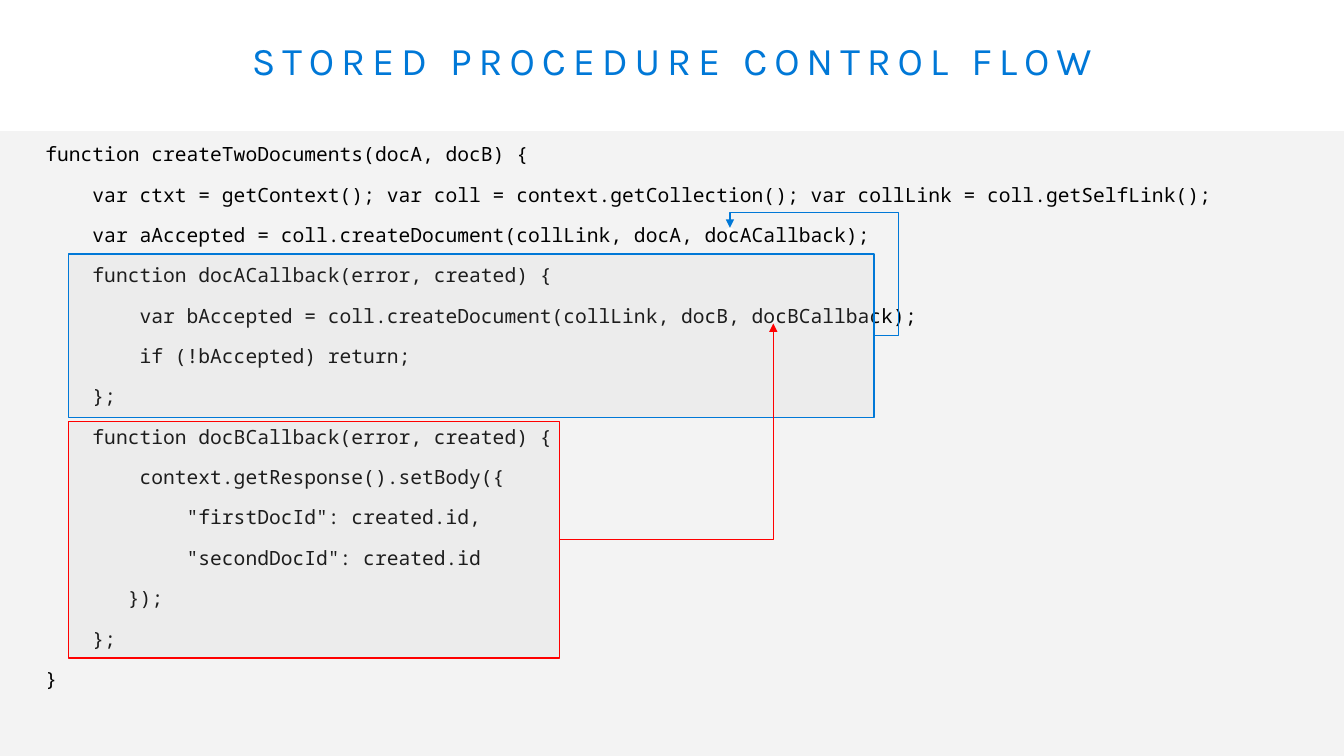
from lxml.etree import SubElement
from pptx import Presentation
from pptx.dml.color import RGBColor
from pptx.enum.shapes import MSO_CONNECTOR as Connector, MSO_SHAPE as Preset
from pptx.enum.text import MSO_ANCHOR as Anchor, MSO_AUTO_SIZE as AutoSize, PP_ALIGN as Align
from pptx.oxml.ns import qn
from pptx.util import Inches, Pt

COLORS = {"paper": "FFFFFF", "band": "F2F2F2", "shade": "C7C7C7",
          "blue": "0078D7", "red": "FF0000", "code": "000000"}

CODE = """\
function createTwoDocuments(docA, docB) {
    var ctxt = getContext(); var coll = context.getCollection(); var collLink = coll.getSelfLink();
    var aAccepted = coll.createDocument(collLink, docA, docACallback);
    function docACallback(error, created) {
        var bAccepted = coll.createDocument(collLink, docB, docBCallback);
        if (!bAccepted) return;
    };
    function docBCallback(error, created) {
        context.getResponse().setBody({
            "firstDocId": created.id,
            "secondDocId": created.id
       });
    };
}"""


def color(name):
    return RGBColor.from_string(COLORS[name])


def write(frame, text, font, size, ink, align=Align.LEFT, leading=1.0, gap=0, tracking=0):
    """Fill a text frame, one paragraph per line; gap is the space on each side in points."""
    frame.auto_size = AutoSize.NONE
    frame.word_wrap = True
    frame.vertical_anchor = Anchor.TOP
    frame.margin_left = frame.margin_right = Inches(0.16)
    frame.margin_top = frame.margin_bottom = Inches(0.1)
    for index, line in enumerate(text.split("\n")):
        paragraph = frame.add_paragraph() if index else frame.paragraphs[0]
        paragraph.alignment = align
        paragraph.line_spacing = leading
        paragraph.space_before = Pt(gap if index else 0)
        paragraph.space_after = Pt(gap)
        run = paragraph.add_run()
        run.text = line
        run.font.name = font
        run.font.size = Pt(size)
        run.font.color.rgb = color(ink)
        if tracking:
            run.font._element.set("spc", str(tracking * 100))


class FlowSlide:
    """Places elements by (left, top, width, height) in percent of the slide."""

    def __init__(self, deck):
        self.width, self.height = deck.slide_width, deck.slide_height
        self.slide = deck.slides.add_slide(deck.slide_layouts[5])
        self.shapes = self.slide.shapes
        self.slide.background.fill.solid()
        self.slide.background.fill.fore_color.rgb = color("paper")

    def area(self, left, top, width, height):
        return (round(self.width * left / 100), round(self.height * top / 100),
                round(self.width * width / 100), round(self.height * height / 100))

    def title(self, text, *area):
        heading = self.shapes.title
        heading.left, heading.top, heading.width, heading.height = self.area(*area)
        write(heading.text_frame, text, "Karla", 28, "blue",
              align=Align.CENTER, leading=0.9, tracking=5)

    def code(self, text, *area):
        listing = self.shapes.add_textbox(*self.area(*area))
        write(listing.text_frame, text, "Noto Sans Mono", 14, "code", gap=6)

    def block(self, *area, fill, preset=Preset.RECTANGLE, opacity=100, line=None):
        block = self.shapes.add_shape(preset, *self.area(*area))
        block.shadow.inherit = False
        block.fill.solid()
        block.fill.fore_color.rgb = color(fill)
        if opacity < 100:
            tint = block.fill._xPr.find(qn("a:solidFill"))[0]
            SubElement(tint, qn("a:alpha"), val=str(opacity * 1000))
        if line:
            block.line.color.rgb = color(line)
            block.line.width = Pt(1)
        else:
            block.line.fill.background()
        return block

    def target(self, left, top):
        return self.block(left, top, 0.75, 1.33, fill="paper", preset=Preset.OVAL)

    def elbow(self, source, target, at_bottom, line, preset, **bends):
        """Lead from the source's right side to the target's top or bottom."""
        arrow = self.shapes.add_connector(
            Connector.ELBOW,
            source.left + source.width, source.top + source.height // 2,
            target.left + target.width // 2, target.top + at_bottom * target.height)
        arrow.line.color.rgb = color(line)
        arrow.line.width = Pt(1)
        properties = arrow._element.spPr
        geometry = properties.find(qn("a:prstGeom"))
        geometry.set("prst", preset)
        guides = geometry.find(qn("a:avLst"))
        for name, share in bends.items():
            SubElement(guides, qn("a:gd"), name=name, fmla=f"val {round(share * 100000)}")
        SubElement(properties.find(qn("a:ln")), qn("a:tailEnd"), type="triangle")
        SubElement(properties, qn("a:effectLst"))


def main():
    deck = Presentation()
    deck.slide_width, deck.slide_height = Inches(13.33), Inches(7.5)
    flow = FlowSlide(deck)

    flow.title("STORED PROCEDURE CONTROL FLOW", 2.18, 4.2, 95.65, 13.07)
    flow.block(0, 17.33, 100, 82.67, fill="band", opacity=89)
    call_a = flow.target(53.94, 30.13)
    call_b = flow.target(57.16, 41.47)
    flow.code(CODE, 2.18, 17.47, 95.57, 75.87)

    callback_a = flow.block(5.1, 33.6, 59.94, 21.6, fill="shade", opacity=15, line="blue")
    flow.elbow(callback_a, call_a, False, "blue", "bentConnector4", adj1=-0.17, adj2=1.14)
    callback_b = flow.block(5.1, 55.73, 36.53, 31.33, fill="shade", opacity=15, line="red")
    flow.elbow(callback_b, call_b, True, "red", "bentConnector2")

    deck.save("out.pptx")


if __name__ == "__main__":
    main()
